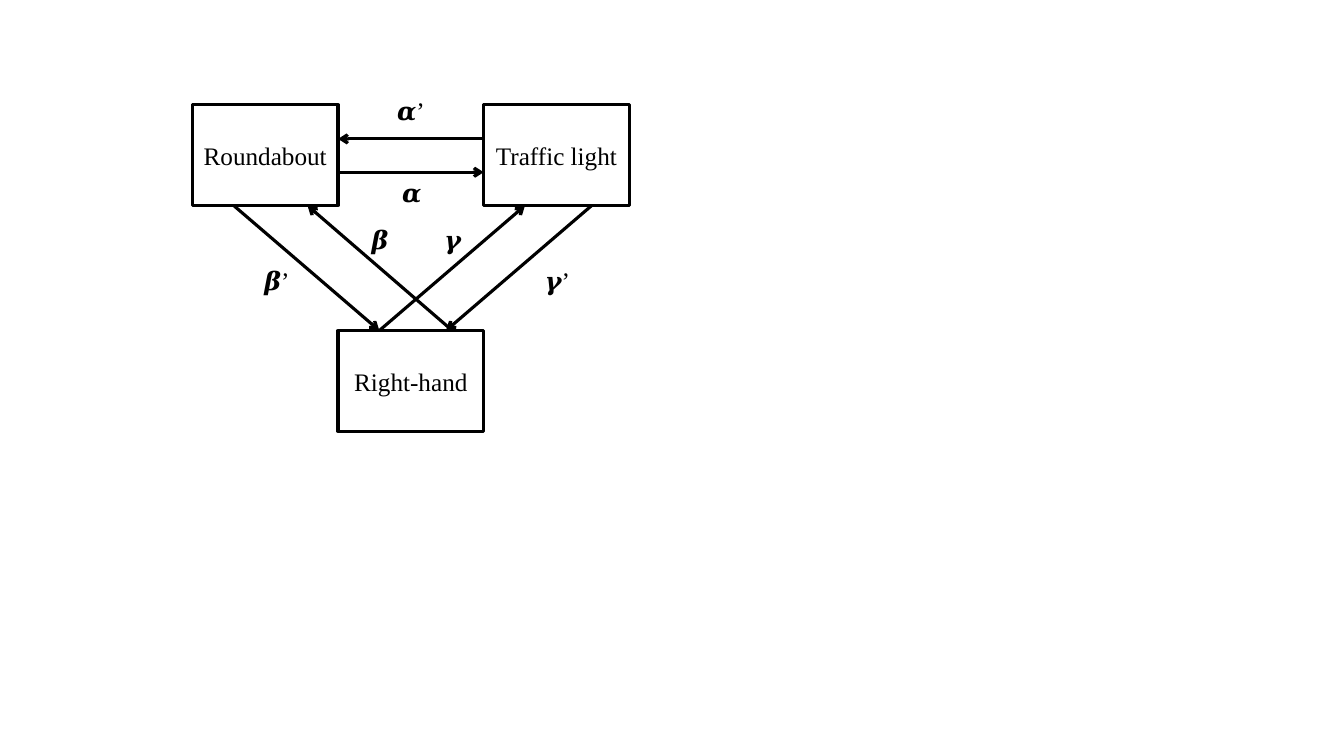
import pptx
import pptx.util
import pptx.dml.color
import pptx.enum.shapes
import pptx.enum.text
import pptx.oxml.ns
import lxml.etree

Cm, Pt = pptx.util.Cm, pptx.util.Pt
BLACK = pptx.dml.color.RGBColor(0, 0, 0)
FONT = "Times New Roman"
WIDE, HIGH = 3.67, 2.54
LEFT, TOP, DROP = 4.85, 2.64, 5.69

BOXES = {
    "Roundabout": (0, 0),
    "Traffic light": (2, 0),
    "Right-hand": (1, 1),
}
ARROWS = [
    ("Roundabout", 1.04, HIGH, "Right-hand", 1.04, 0),
    ("Traffic light", 0, 0.86, "Roundabout", WIDE, 0.86),
    ("Roundabout", WIDE, 1.7, "Traffic light", 0, 1.7),
    ("Right-hand", 1.04, 0, "Traffic light", 1.04, HIGH),
    ("Traffic light", 2.72, HIGH, "Right-hand", 2.72, 0),
    ("Right-hand", 2.88, 0, "Roundabout", 2.9, HIGH),
]
LABELS = [
    ("𝜶’", 8.81, 2.29, 3.1),
    ("𝜶", 9.58, 4.34, 1.6),
    ("𝜷’", 5.94, 6.55, 2.08),
    ("𝜷", 8.03, 5.54, 3.1),
    ("𝜸", 9.86, 5.54, 3.1),
    ("𝜸’", 12.5, 6.55, 3.1),
]


def write(shape, text):
    frame = shape.text_frame
    frame.word_wrap = True
    line = frame.paragraphs[0]
    line.alignment = pptx.enum.text.PP_ALIGN.CENTER
    run = line.add_run()
    run.text = text
    run.font.name = FONT
    run.font.size = Pt(18)
    run.font.color.rgb = BLACK
    return frame


def stroke(shape):
    shape.line.color.rgb = BLACK
    shape.line.width = Pt(2.25)


def corner(name):
    col, row = BOXES[name]
    return LEFT + col * WIDE, TOP + row * DROP


def box(slide, name):
    x, y = corner(name)
    shape = slide.shapes.add_shape(
        pptx.enum.shapes.MSO_SHAPE.RECTANGLE, Cm(x), Cm(y), Cm(WIDE), Cm(HIGH))
    shape.shadow.inherit = False
    shape.fill.background()
    stroke(shape)
    frame = write(shape, name)
    frame.margin_left = frame.margin_right = Cm(0.1)
    frame.vertical_anchor = pptx.enum.text.MSO_ANCHOR.MIDDLE


def arrow(slide, start, sx, sy, end, ex, ey):
    ax, ay = corner(start)
    bx, by = corner(end)
    link = slide.shapes.add_connector(
        pptx.enum.shapes.MSO_CONNECTOR.STRAIGHT,
        Cm(ax + sx), Cm(ay + sy), Cm(bx + ex), Cm(by + ey))
    stroke(link)
    qn = pptx.oxml.ns.qn
    tip = lxml.etree.SubElement(link.line._get_or_add_ln(), qn("a:tailEnd"))
    tip.set("type", "arrow")
    lxml.etree.SubElement(link._element.spPr, qn("a:effectLst"))


def label(slide, text, x, y, wide):
    write(slide.shapes.add_textbox(Cm(x), Cm(y), Cm(wide), Cm(1.03)), text)


def main():
    deck = pptx.Presentation()
    deck.slide_width, deck.slide_height = Cm(33.87), Cm(19.05)
    slide = deck.slides.add_slide(deck.slide_layouts[6])
    for name in BOXES:
        box(slide, name)
    for item in ARROWS:
        arrow(slide, *item)
    for item in LABELS:
        label(slide, *item)
    deck.save("out.pptx")


if __name__ == "__main__":
    main()
